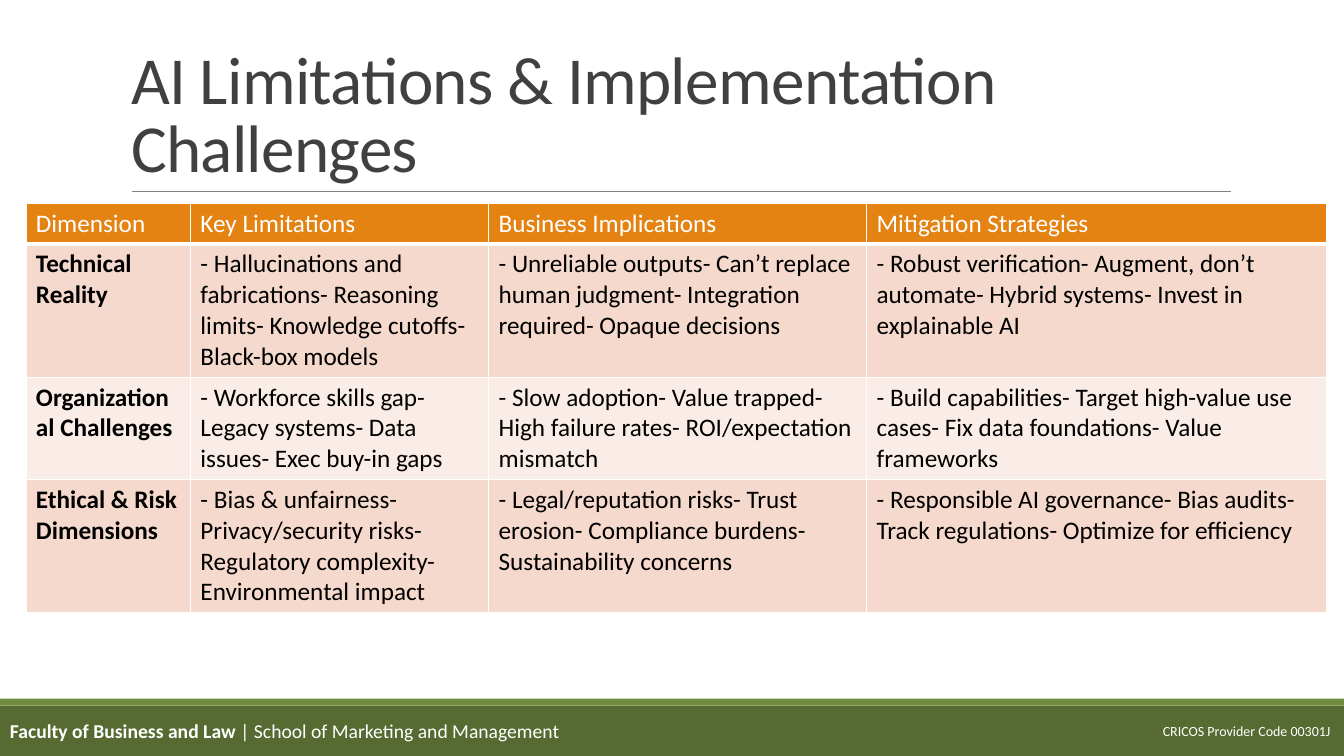
"""Build a slide with a table of AI limitations and implementation challenges."""
from pptx import Presentation
from pptx.dml.color import RGBColor
from pptx.enum import shapes, text
from pptx.oxml import parse_xml
from pptx.oxml import ns
from pptx.util import Pt

FONT = "Calibri"
WHITE = RGBColor(0xFF, 0xFF, 0xFF)
BLACK = RGBColor(0, 0, 0)
TITLE_GREY = RGBColor(0x40, 0x40, 0x40)
RULE_GREY = RGBColor(0x80, 0x80, 0x80)
DARK_GREEN = RGBColor(0x56, 0x6A, 0x31)
LIGHT_GREEN = RGBColor(0x71, 0x8C, 0x40)
ORANGE = RGBColor(0xE4, 0x83, 0x12)
BANDS = [RGBColor(0xFA, 0xED, 0xE7), RGBColor(0xF5, 0xD9, 0xCC)]

COLUMN_WIDTHS = [117.5, 213, 270, 328.5]
ROW_LINES = [1, 4, 3, 4]
ROWS = [
    ["Dimension", "Key Limitations", "Business Implications", "Mitigation Strategies"],
    ["Technical Reality",
     "- Hallucinations and fabrications- Reasoning limits- Knowledge cutoffs- Black-box models",
     "- Unreliable outputs- Can’t replace human judgment- Integration required- Opaque decisions",
     "- Robust verification- Augment, don’t automate- Hybrid systems- Invest in explainable AI"],
    ["Organizational Challenges",
     "- Workforce skills gap- Legacy systems- Data issues- Exec buy-in gaps",
     "- Slow adoption- Value trapped- High failure rates- ROI/expectation mismatch",
     "- Build capabilities- Target high-value use cases- Fix data foundations- Value frameworks"],
    ["Ethical & Risk Dimensions",
     "- Bias & unfairness- Privacy/security risks- Regulatory complexity- Environmental impact",
     "- Legal/reputation risks- Trust erosion- Compliance burdens- Sustainability concerns",
     "- Responsible AI governance- Bias audits- Track regulations- Optimize for efficiency"],
]


def add_run(p, words, size, color, bold=False):
    r = p.add_run()
    r.text = words
    r.font.name = FONT
    r.font.size = Pt(size)
    r.font.bold = bold
    r.font.color.rgb = color
    return r


def add_bar(s, top, height, color):
    sp = s.shapes.add_shape(shapes.MSO_SHAPE.RECTANGLE, 0, Pt(top), Pt(960), Pt(height))
    sp.shadow.inherit = False
    sp.fill.solid()
    sp.fill.fore_color.rgb = color
    sp.line.fill.background()


def add_rule(s, left, right, y):
    line = s.shapes.add_connector(shapes.MSO_CONNECTOR.STRAIGHT, Pt(left), Pt(y), Pt(right), Pt(y))
    line.line.color.rgb = RULE_GREY
    line.line.width = Pt(0.5)
    line._element.spPr.append(parse_xml(f"<a:effectLst {ns.nsdecls('a')}/>"))


def add_label(s, left, top, width, height, runs, size, wrap=True):
    tf = s.shapes.add_textbox(Pt(left), Pt(top), Pt(width), Pt(height)).text_frame
    tf.word_wrap = wrap
    tf.vertical_anchor = text.MSO_ANCHOR.MIDDLE
    for words, bold in runs:
        add_run(tf.paragraphs[0], words, size, WHITE, bold)


def set_title(s, words):
    sp = s.shapes.title
    sp.left, sp.top, sp.width, sp.height = Pt(86.4), Pt(22.3), Pt(844.5), Pt(114.5)
    tf = sp.text_frame
    tf.word_wrap = True
    tf.auto_size = text.MSO_AUTO_SIZE.NONE
    tf.vertical_anchor = text.MSO_ANCHOR.BOTTOM
    p = tf.paragraphs[0]
    p.alignment = text.PP_ALIGN.LEFT
    p.line_spacing = 0.85
    r = add_run(p, words, 48, TITLE_GREY)
    r.font._element.set("spc", "-50")


def set_borders(cell, bottom):
    tc_pr = cell._tc.get_or_add_tcPr()
    for side, width in zip("LRTB", (1, 1, 1, bottom)):
        tc_pr.append(parse_xml(
            f'<a:ln{side} {ns.nsdecls("a")} w="{Pt(width)}"><a:solidFill>'
            f'<a:srgbClr val="{WHITE}"/></a:solidFill></a:ln{side}>'))


def add_challenges_table(s, left, top):
    heights = [22 * n + 7.2 for n in ROW_LINES]
    table = s.shapes.add_table(len(ROWS), len(COLUMN_WIDTHS), Pt(left), Pt(top),
                               Pt(sum(COLUMN_WIDTHS)), Pt(sum(heights))).table
    for column, width in zip(table.columns, COLUMN_WIDTHS):
        column.width = Pt(width)
    for i, row in enumerate(ROWS):
        table.rows[i].height = Pt(heights[i])
        header = i == 0
        for j, words in enumerate(row):
            cell = table.cell(i, j)
            set_borders(cell, 3 if header else 1)
            cell.fill.solid()
            cell.fill.fore_color.rgb = ORANGE if header else BANDS[i % 2]
            add_run(cell.text_frame.paragraphs[0], words, 18,
                    WHITE if header else BLACK, bold=not header and j == 0)


def main():
    prs = Presentation()
    prs.slide_width, prs.slide_height = Pt(960), Pt(540)
    s = prs.slides.add_slide(prs.slide_layouts[5])
    add_bar(s, 504, 36, DARK_GREEN)
    add_rule(s, 94, 879, 136.6)
    add_bar(s, 499, 5, LIGHT_GREEN)
    add_label(s, 823.5, 512.5, 136.5, 19.5, [("CRICOS Provider Code 00301J", False)], 10, wrap=False)
    set_title(s, "AI Limitations & Implementation Challenges")
    add_challenges_table(s, 18.5, 145)
    add_label(s, 0, 507.8, 790, 28.8, [("Faculty of Business and Law ", True),
                                       ("| School of Marketing and Management", False)], 14)
    prs.save("out.pptx")


if __name__ == "__main__":
    main()
